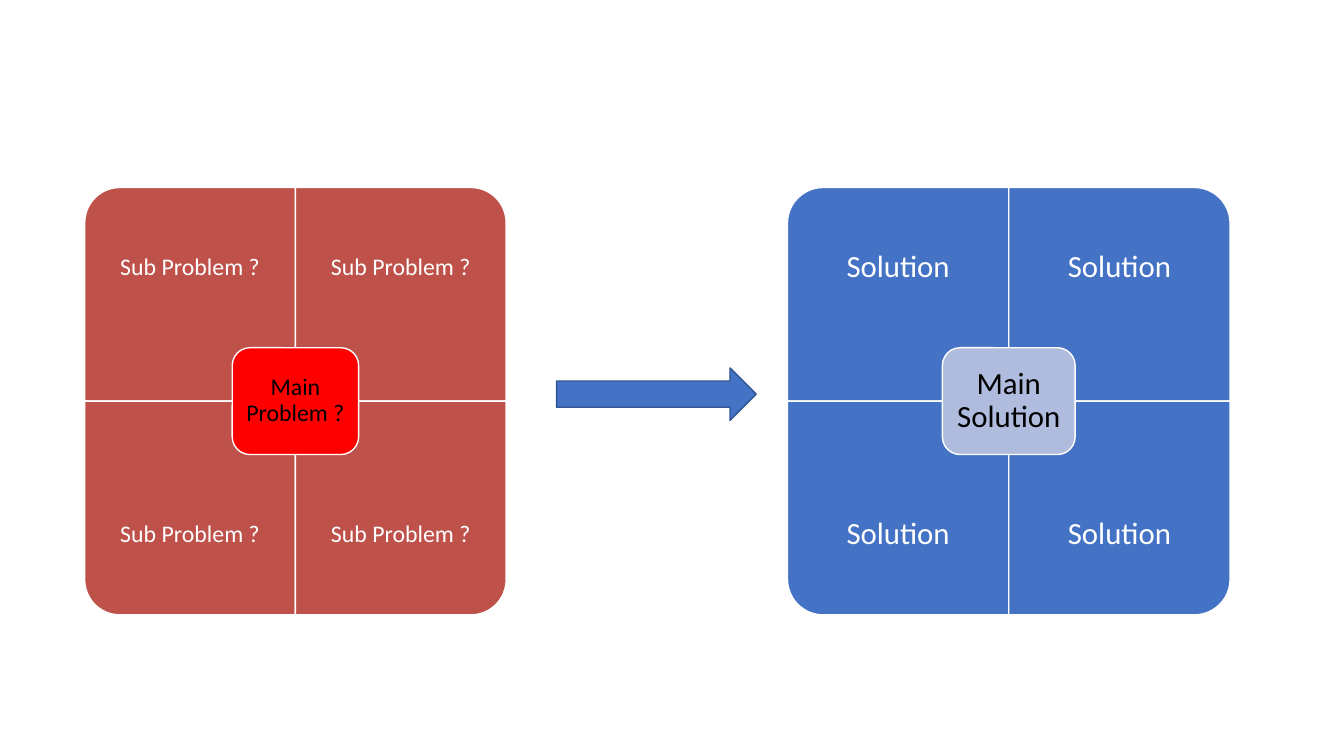
from pptx import Presentation
from pptx.dml.color import RGBColor
from pptx.enum.shapes import MSO_SHAPE
from pptx.enum.text import MSO_ANCHOR, PP_ALIGN
from pptx.util import Inches, Pt

WHITE = RGBColor(0xFF, 0xFF, 0xFF)
BLACK = RGBColor(0, 0, 0)
BRICK = RGBColor(0xBE, 0x52, 0x4A)
RED = RGBColor(0xFF, 0, 0)
BLUE = RGBColor(0x44, 0x72, 0xC4)
DARK_BLUE = RGBColor(0x32, 0x54, 0x91)
PALE_BLUE = RGBColor(0xB0, 0xBC, 0xDE)

# Column, row and the turn that puts the rounded corner outside
QUADRANTS = [(0, 0, 270), (1, 0, 0), (0, 1, 180), (1, 1, 90)]


def add_block(shapes, kind, box, fill, line=WHITE):
    block = shapes.add_shape(kind, *map(Inches, box))
    block.shadow.inherit = False
    block.fill.solid()
    block.fill.fore_color.rgb = fill
    block.line.color.rgb = line
    block.line.width = Pt(1)
    return block


def add_label(shapes, box, text, size, color, inset):
    frame = shapes.add_textbox(*map(Inches, box)).text_frame
    frame.word_wrap = True
    frame.vertical_anchor = MSO_ANCHOR.MIDDLE
    frame.margin_left = frame.margin_right = Inches(inset)
    frame.margin_top = frame.margin_bottom = Inches(inset)
    paragraph = frame.paragraphs[0]
    paragraph.alignment = PP_ALIGN.CENTER
    paragraph.line_spacing = 0.9
    run = paragraph.add_run()
    run.text = text
    run.font.name = "Calibri"
    run.font.size = Pt(size)
    run.font.color.rgb = color


def add_matrix(slide, box, part, whole, part_fill, whole_fill, size,
               part_inset, whole_inset):
    """Four quadrants with a centre tile over their meeting point."""
    left, top, width, height = box
    shapes = slide.shapes.add_group_shape().shapes
    tile_w, tile_h = width / 2, height / 2

    for column, row, turn in QUADRANTS:
        x, y = left + column * tile_w, top + row * tile_h
        # A quarter turn swaps the sides about the tile's centre
        w, h = (tile_h, tile_w) if turn % 180 else (tile_w, tile_h)
        tile = add_block(shapes, MSO_SHAPE.ROUND_1_RECTANGLE,
                         (x + (tile_w - w) / 2, y + (tile_h - h) / 2, w, h),
                         part_fill)
        tile.rotation = turn
        # Labels take the outer three quarters of each quadrant
        add_label(shapes, (x, y + row * tile_h / 4, tile_w, tile_h * 0.75),
                  part, size, WHITE, part_inset)

    # Centre tile
    w, h = tile_w * 0.6, tile_h * 0.5
    x, y = left + (width - w) / 2, top + (height - h) / 2
    add_block(shapes, MSO_SHAPE.ROUNDED_RECTANGLE, (x, y, w, h), whole_fill)
    pad = 0.05
    add_label(shapes, (x + pad, y + pad, w - 2 * pad, h - 2 * pad),
              whole, size, BLACK, whole_inset)


def add_arrow(slide, box):
    add_block(slide.shapes, MSO_SHAPE.RIGHT_ARROW, box, BLUE, DARK_BLUE)


prs = Presentation()
prs.slide_width, prs.slide_height = Inches(13.33), Inches(7.5)
slide = prs.slides.add_slide(prs.slide_layouts[6])

add_matrix(slide, (0.84, 1.86, 4.18, 4.24), "Sub Problem ?", "Main Problem ?",
           BRICK, RED, 17, 0.13, 0.07)
add_arrow(slide, (5.52, 3.65, 1.98, 0.52))
add_matrix(slide, (7.81, 1.86, 4.39, 4.24), "Solution", "Main Solution",
           BLUE, PALE_BLUE, 22, 0.17, 0.09)

prs.save("out.pptx")
